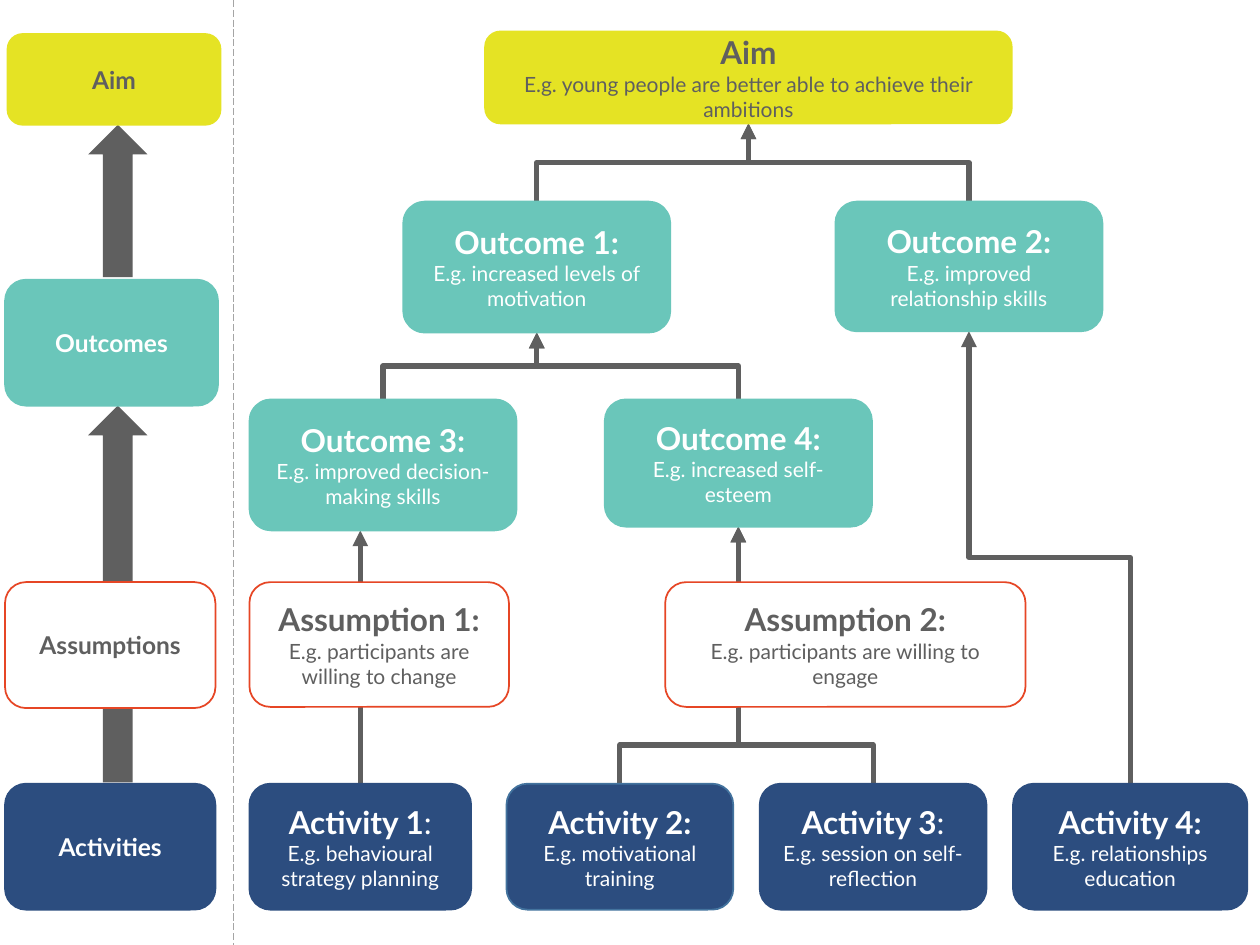
from collections import namedtuple

from lxml import etree
from pptx import Presentation
from pptx.dml.color import RGBColor
from pptx.enum.dml import MSO_LINE
from pptx.enum.shapes import MSO_CONNECTOR, MSO_SHAPE
from pptx.enum.text import MSO_ANCHOR, PP_ALIGN
from pptx.oxml.ns import qn
from pptx.util import Inches, Pt

STRAIGHT, ELBOW = MSO_CONNECTOR.STRAIGHT, MSO_CONNECTOR.ELBOW
ROUNDED, UP_ARROW = MSO_SHAPE.ROUNDED_RECTANGLE, MSO_SHAPE.UP_ARROW
BLANK_LAYOUT = 6

# Theme: (fill, outline, text) for each kind of box
Style = namedtuple("Style", "fill outline text")
THEME = {
    "font": "Lato",
    "heading": 18, "example": 12, "level": 14,
    "grey": "5F5F5F", "divider": "A5A5A5",
    "aim": Style("E5E324", "E5E324", "5F5F5F"),
    "outcome": Style("6AC6BA", "6AC6BA", "FFFFFF"),
    "assumption": Style("FFFFFF", "E64625", "5F5F5F"),
    "activity": Style("2C4D7F", "2C4D7F", "FFFFFF"),
    "activity_edged": Style("2C4D7F", "43739E", "FFFFFF"),
}

# Layout in inches
SLIDE_WIDTH, SLIDE_HEIGHT = 10, 7.5
DIVIDER_X = 1.85
AIM_ROW, UPPER_ROW, LOWER_ROW, ASSUMPTION_ROW, ACTIVITY_ROW = 0.25, 1.6, 3.17, 4.62, 6.22
OUTCOME_WIDTH = 2.12
ARROW_LEFT, ARROW_WIDTH = 0.7, 0.47

# Level key: label, style, left, top, width, height
LEVELS = [
    ("Aim", "aim", 0.06, 0.27, 1.69, 0.72),
    ("Outcomes", "outcome", 0.04, 2.22, 1.69, 1),
    ("Assumptions", "assumption", 0.04, ASSUMPTION_ROW, 1.67, 1),
    ("Activities", "activity", 0.04, ACTIVITY_ROW, 1.67, 1),
]
LEVEL_ARROWS = [(0.99, 2.2), (3.22, 6.21)]  # tip, foot

# Diagram: heading, plain ending, example, style, left, top, width, height
BOXES = [
    ("Aim", "", "E.g. young people are better able to achieve their ambitions",
     "aim", 3.85, AIM_ROW, 4.18, 0.73),
    ("Outcome 1:", "", "E.g. increased levels of motivation",
     "outcome", 3.2, UPPER_ROW, OUTCOME_WIDTH, 1.04),
    ("Outcome 2:", "", "E.g. improved relationship skills",
     "outcome", 6.63, UPPER_ROW, OUTCOME_WIDTH, 1.03),
    ("Outcome 3:", "", "E.g. improved decision-making skills",
     "outcome", 1.98, LOWER_ROW, OUTCOME_WIDTH, 1.04),
    ("Outcome 4:", "", "E.g. increased self-esteem",
     "outcome", 4.8, LOWER_ROW, OUTCOME_WIDTH, 1.01),
    ("Assumption 1:", "", "E.g. participants are willing to change",
     "assumption", 1.98, ASSUMPTION_ROW, 2.06, 0.99),
    ("Assumption 2:", "", "E.g. participants are willing to engage",
     "assumption", 5.28, ASSUMPTION_ROW, 2.86, 0.99),
    ("Activity 1", ":", "E.g. behavioural strategy planning",
     "activity", 1.98, ACTIVITY_ROW, 1.76, 1),
    ("Activity 2:", "", "E.g. motivational training",
     "activity_edged", 4.02, ACTIVITY_ROW, 1.8, 1),
    ("Activity 3", ":", "E.g. session on self-reflection",
     "activity", 6.03, ACTIVITY_ROW, 1.8, 1),
    ("Activity 4:", "", "E.g. relationships education",
     "activity", 8.04, ACTIVITY_ROW, 1.86, 1),
]

# Links: lower box, upper box, share of the rise at which the line turns
LINKS = [
    ("Activity 1", "Outcome 3:", None),
    ("Activity 2:", "Outcome 4:", 0.15),
    ("Activity 3", "Outcome 4:", 0.15),
    ("Activity 4:", "Outcome 2:", 0.5),
    ("Outcome 3:", "Outcome 1:", 0.5),
    ("Outcome 4:", "Outcome 1:", 0.5),
    ("Outcome 1:", "Aim", 0.5),
    ("Outcome 2:", "Aim", 0.5),
]


def color(name):
    return RGBColor.from_string(name)


def add_run(paragraph, text, size, text_color, bold=False):
    run = paragraph.add_run()
    run.text = text
    run.font.name = THEME["font"]
    run.font.size = Pt(size)
    run.font.bold = bold
    run.font.color.rgb = color(text_color)


def add_box(shapes, lines, style, left, top, width, height):
    """Draw a rounded box; each line is a list of (text, size, bold)."""
    box = shapes.add_shape(ROUNDED, *map(Inches, (left, top, width, height)))
    box.shadow.inherit = False
    box.fill.solid()
    box.fill.fore_color.rgb = color(style.fill)
    box.line.color.rgb = color(style.outline)
    box.line.width = Pt(1)
    frame = box.text_frame
    frame.word_wrap = True
    frame.vertical_anchor = MSO_ANCHOR.MIDDLE
    for index, runs in enumerate(lines):
        paragraph = frame.add_paragraph() if index else frame.paragraphs[0]
        paragraph.alignment = PP_ALIGN.CENTER
        for text, size, bold in runs:
            add_run(paragraph, text, size, style.text, bold)


def add_line(shapes, kind, points, line_color, width):
    line = shapes.add_connector(kind, *map(Inches, points))
    line.line.color.rgb = color(line_color)
    line.line.width = Pt(width)
    etree.SubElement(line._element.spPr, qn("a:effectLst"))
    return line


def turn_upright(connector, start_x, start_y, end_x, end_y, turn):
    """Rotate an elbow so that it leaves and arrives vertically."""
    rise, run = start_y - end_y, abs(end_x - start_x)
    connector.left = Inches((start_x + end_x - rise) / 2)
    connector.top = Inches((start_y + end_y - run) / 2)
    connector.width, connector.height = Inches(rise), Inches(run)
    properties = connector._element.spPr
    transform = properties.find(qn("a:xfrm"))
    rightward = end_x > start_x
    transform.set("rot", str((90 if rightward else 270) * 60000))
    transform.set("flipH", "1" if rightward else "0")
    transform.set("flipV", "1")
    geometry = properties.find(qn("a:prstGeom"))
    adjustments = geometry.find(qn("a:avLst"))
    if adjustments is None:
        adjustments = etree.SubElement(geometry, qn("a:avLst"))
    etree.SubElement(adjustments, qn("a:gd"), name="adj1",
                     fmla=f"val {round(turn * 100000)}")


def add_link(shapes, lower, upper, turn):
    """Run an arrow from the top of the lower box to the foot of the upper."""
    left, top, width, _ = lower
    upper_left, upper_top, upper_width, upper_height = upper
    start_x = left + width / 2
    end_x = upper_left + upper_width / 2 if turn else start_x
    points = (start_x, top, end_x, upper_top + upper_height)
    link = add_line(shapes, ELBOW if turn else STRAIGHT, points, THEME["grey"], 3)
    if turn:
        turn_upright(link, *points, turn)
    outline = link._element.spPr.find(qn("a:ln"))
    etree.SubElement(outline, qn("a:tailEnd"), type="triangle")


def main():
    presentation = Presentation()
    presentation.slide_width = Inches(SLIDE_WIDTH)
    presentation.slide_height = Inches(SLIDE_HEIGHT)
    slide = presentation.slides.add_slide(presentation.slide_layouts[BLANK_LAYOUT])
    shapes = slide.shapes

    # Divider between the level key and the diagram
    divider = add_line(shapes, STRAIGHT, (DIVIDER_X, 0, DIVIDER_X, SLIDE_HEIGHT),
                       THEME["divider"], 0.5)
    divider.line.dash_style = MSO_LINE.LONG_DASH

    # Arrows and links lie behind the boxes
    for tip, foot in LEVEL_ARROWS:
        arrow = shapes.add_shape(
            UP_ARROW, *map(Inches, (ARROW_LEFT, tip, ARROW_WIDTH, foot - tip)))
        arrow.shadow.inherit = False
        arrow.fill.solid()
        arrow.fill.fore_color.rgb = color(THEME["grey"])
        arrow.line.fill.background()
    places = {heading: place for heading, _, _, _, *place in BOXES}
    for lower, upper, turn in LINKS:
        add_link(shapes, places[lower], places[upper], turn)

    # Level key
    for label, style, *place in LEVELS:
        add_box(shapes, [[(label, THEME["level"], True)]], THEME[style], *place)

    # Diagram boxes
    for heading, ending, example, style, *place in BOXES:
        title = [(heading, THEME["heading"], True)]
        if ending:
            title.append((ending, THEME["heading"], False))
        add_box(shapes, [title, [(example, THEME["example"], False)]],
                THEME[style], *place)

    presentation.save("out.pptx")


if __name__ == "__main__":
    main()
